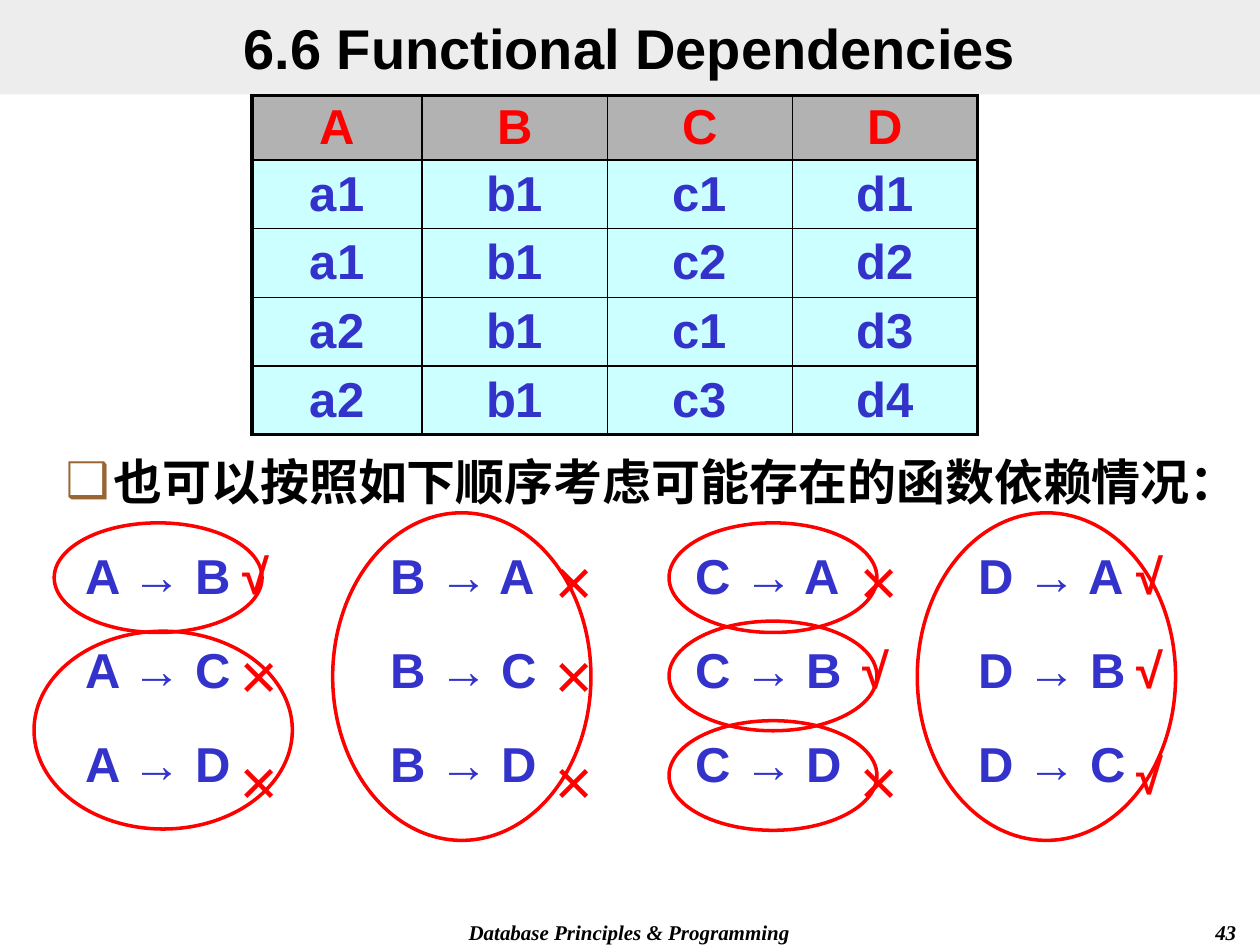
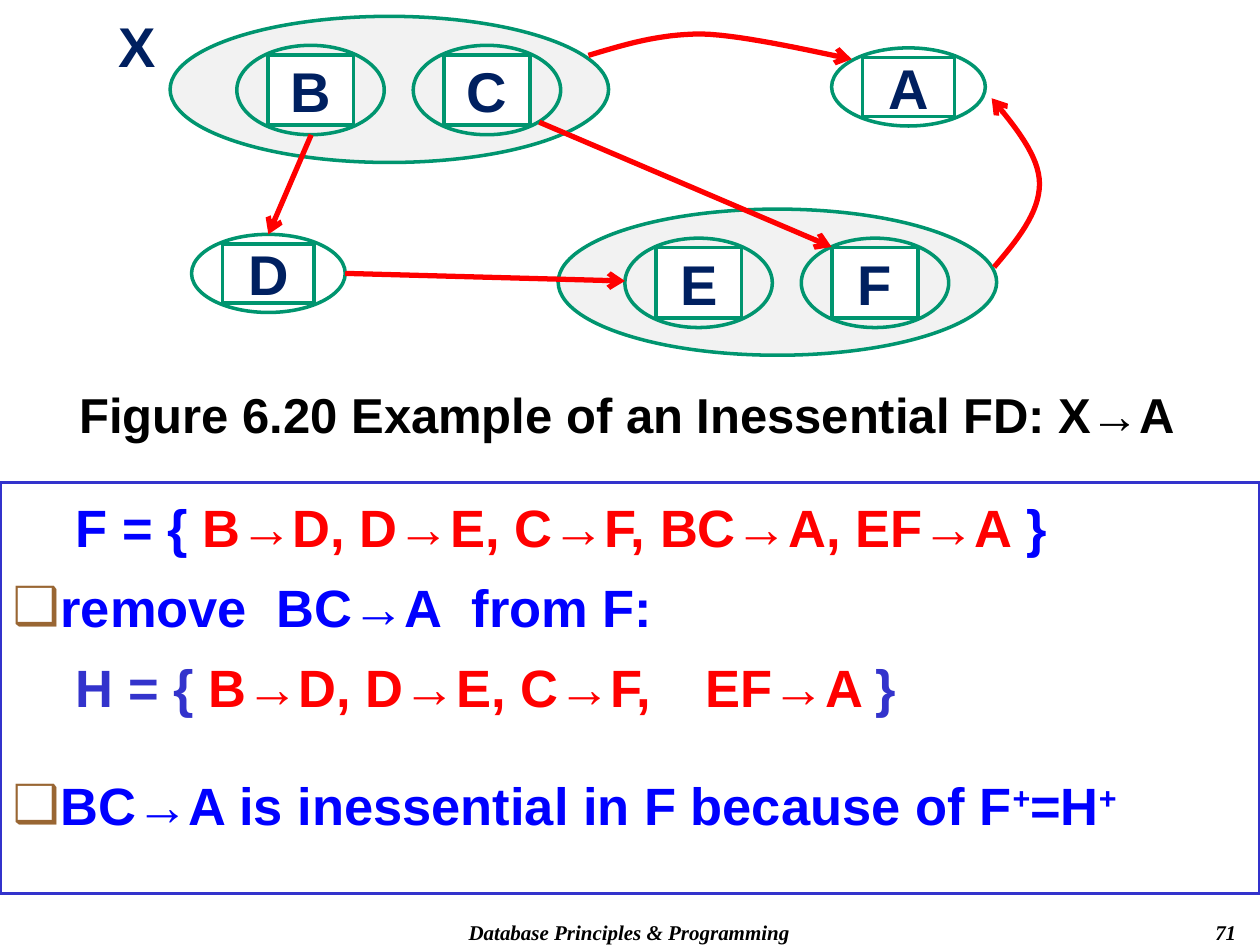
from dataclasses import dataclass

from lxml.etree import SubElement
from pptx import Presentation
from pptx.dml.color import RGBColor
from pptx.enum.shapes import MSO_CONNECTOR, MSO_SHAPE
from pptx.enum.text import MSO_ANCHOR, MSO_AUTO_SIZE, PP_ALIGN
from pptx.oxml.ns import qn
from pptx.util import Inches, Pt


@dataclass(frozen=True)
class Theme:
    sans: str = "Arial"
    serif: str = "Times New Roman"
    black: str = "000000"
    white: str = "FFFFFF"
    red: str = "FF0000"
    blue: str = "0000FF"
    indigo: str = "3333CC"
    navy: str = "002060"
    green: str = "00956F"
    bullet: str = "996633"
    band: str = "DDDDDD"
    header: str = "B2B2B2"
    cell: str = "CCFFFF"
    group: str = "F2F2F2"
    title_size: int = 32
    formula_size: int = 30
    text_size: int = 28
    cross_size: int = 24
    footer_size: int = 12
    thin: float = 1
    outline: float = 2
    frame: float = 2.25
    arrow: float = 3


THEME = Theme()
GRID_COLUMNS, GRID_ROWS = 100, 75


class Deck:
    def __init__(self, theme):
        self.theme = theme
        self.presentation = Presentation()
        self.presentation.slide_width = Inches(10)
        self.presentation.slide_height = Inches(7.5)
        self.page = None

    def x(self, columns):
        return round(self.presentation.slide_width * columns / GRID_COLUMNS)

    def y(self, rows):
        return round(self.presentation.slide_height * rows / GRID_ROWS)

    def area(self, left, top, width, height):
        return self.x(left), self.y(top), self.x(width), self.y(height)

    def add_page(self, number):
        layout = self.presentation.slide_layouts[1]
        self.page = self.presentation.slides.add_slide(layout)
        style = dict(font=self.theme.serif, size=self.theme.footer_size, italic=True)
        self.label((28.3, 72.5, 43.3, 2.5), "Database Principles & Programming",
                   align=PP_ALIGN.CENTER, **style)
        self.label((78.3, 72.5, 20.8, 2.5), number, align=PP_ALIGN.RIGHT, **style)

    def color(self, target, value):
        target.solid()
        target.fore_color.rgb = RGBColor.from_string(value)

    def paint(self, shape, fill=None, line=None):
        if fill:
            self.color(shape.fill, fill)
        else:
            shape.fill.background()
        if line:
            self.color(shape.line.fill, line)
            shape.line.width = Pt(self.theme.outline)
        else:
            shape.line.fill.background()

    def span(self, para, text, color=None, size=None, font=None, italic=False, **marks):
        run = para.add_run()
        run.text = text
        values = {"name": font or self.theme.sans, "bold": True, "italic": italic,
                  "size": Pt(size or self.theme.text_size)}
        for name, value in values.items():
            setattr(run.font, name, value)
        run.font.color.rgb = RGBColor.from_string(color or self.theme.black)
        for name, value in marks.items():
            run._r.get_or_add_rPr().set(name, str(value))

    def frame(self, shape, anchor=MSO_ANCHOR.TOP, inset=(0.1, 0.05)):
        frame = shape.text_frame
        side, end = map(Inches, inset)
        values = {"word_wrap": True, "auto_size": MSO_AUTO_SIZE.NONE,
                  "vertical_anchor": anchor, "margin_left": side, "margin_right": side,
                  "margin_top": end, "margin_bottom": end}
        for name, value in values.items():
            setattr(frame, name, value)
        return frame

    def add_lines(self, frame, lines, align=PP_ALIGN.LEFT, gap=0, **style):
        for index, line in enumerate(lines):
            para = frame.add_paragraph() if index else frame.paragraphs[0]
            para.alignment = align
            para.space_before = Pt(gap if index else 0)
            self.span(para, line, **style)

    def label(self, area, text, align=PP_ALIGN.LEFT, anchor=MSO_ANCHOR.TOP,
              inset=(0.1, 0.05), **style):
        box = self.page.shapes.add_textbox(*self.area(*area))
        self.add_lines(self.frame(box, anchor, inset), [text], align, **style)

    def shape(self, kind, area, **look):
        shape = self.page.shapes.add_shape(kind, *self.area(*area))
        shape.shadow.inherit = False
        self.paint(shape, **look)
        return shape

    def ellipse(self, area, **look):
        return self.shape(MSO_SHAPE.OVAL, area, **look)

    def place(self, placeholder, area):
        values = zip(("left", "top", "width", "height"), self.area(*area))
        for name, value in values:
            setattr(placeholder, name, value)

    def title(self, text):
        title = self.page.shapes.title
        self.place(title, (0, 0, 100, 7.5))
        self.paint(title, fill=self.theme.band)
        shade = title._element.spPr.find(qn("a:solidFill"))[0]
        SubElement(shade, qn("a:alpha"), val="50000")
        self.add_lines(self.frame(title, MSO_ANCHOR.MIDDLE, (0.1, 0)), [text],
                       PP_ALIGN.CENTER, size=self.theme.title_size)

    def body(self, area, items, size, spacing=1.0, line=None):
        body = self.page.placeholders[1]
        self.place(body, area)
        self.paint(body, line=line)
        frame = self.frame(body)
        for index, (bulleted, gap, tab, spans) in enumerate(items):
            para = frame.add_paragraph() if index else frame.paragraphs[0]
            para.line_spacing = spacing
            para.space_before = Pt(gap)
            self.bullet(para, bulleted, tab)
            for text, color, marks in spans:
                self.span(para, text, color, size, **marks)

    def bullet(self, para, bulleted, tab):
        properties = para._p.get_or_add_pPr()
        left, indent = (0.38, -0.38) if bulleted else (0, 0.5)
        properties.set("marL", str(Inches(left)))
        properties.set("indent", str(Inches(indent)))
        if bulleted:
            tint = SubElement(properties, qn("a:buClr"))
            SubElement(tint, qn("a:srgbClr"), val=self.theme.bullet)
            SubElement(properties, qn("a:buChar"), char="❑")
        else:
            SubElement(properties, qn("a:buNone"))
        if tab:
            stops = SubElement(properties, qn("a:tabLst"))
            SubElement(stops, qn("a:tab"), pos=str(Inches(tab)), algn="l")

    def table(self, area, rows, widths, heights):
        table = self.page.shapes.add_table(len(rows), len(widths), *self.area(*area)).table
        table.first_row = table.horz_banding = False
        for column, width in zip(table.columns, widths):
            column.width = self.x(width)
        for row, height in zip(table.rows, heights):
            row.height = self.y(height)
        last_row, last_column = len(rows) - 1, len(widths) - 1
        for r, row in enumerate(rows):
            for c, text in enumerate(row):
                cell = table.cell(r, c)
                cell.margin_top = cell.margin_bottom = 0
                cell.vertical_anchor = MSO_ANCHOR.MIDDLE
                self.add_lines(cell.text_frame, [text], PP_ALIGN.CENTER,
                               color=self.theme.indigo if r else self.theme.red)
                outer = {"L": c == 0, "R": c == last_column, "T": r == 0, "B": r == last_row}
                for side, heavy in outer.items():
                    self.border(cell, side, self.theme.frame if heavy else self.theme.thin)
                self.color(cell.fill, self.theme.cell if r else self.theme.header)

    def border(self, cell, side, width):
        line = SubElement(cell._tc.get_or_add_tcPr(), qn(f"a:ln{side}"), w=str(Pt(width)))
        fill = SubElement(line, qn("a:solidFill"))
        SubElement(fill, qn("a:srgbClr"), val=self.theme.black)

    def point_at_end(self, shape):
        self.color(shape.line.fill, self.theme.red)
        shape.line.width = Pt(self.theme.arrow)
        SubElement(shape._element.spPr.find(qn("a:ln")), qn("a:tailEnd"), type="arrow")

    def arrow(self, start, end):
        line = self.page.shapes.add_connector(
            MSO_CONNECTOR.STRAIGHT, self.x(start[0]), self.y(start[1]),
            self.x(end[0]), self.y(end[1]))
        self.point_at_end(line)
        SubElement(line._element.spPr, qn("a:effectLst"))

    def curved_arrow(self, start, *segments, steps=16):
        points = [start]
        for first, second, end in segments:
            origin = points[-1]
            for step in range(1, steps + 1):
                t = step / steps
                weights = (1 - t) ** 3, 3 * t * (1 - t) ** 2, 3 * t * t * (1 - t), t ** 3
                points.append(tuple(
                    sum(weight * value for weight, value in zip(weights, values))
                    for values in zip(origin, first, second, end)))
        points = [(self.x(column), self.y(row)) for column, row in points]
        builder = self.page.shapes.build_freeform(*points[0])
        builder.add_line_segments(points[1:], close=False)
        curve = builder.convert_to_shape()
        curve.shadow.inherit = False
        curve.fill.background()
        self.point_at_end(curve)

    def node(self, letter, left, top, width, height):
        look = dict(line=self.theme.green)
        self.ellipse((left, top, width, height), **look)
        side, end = 2.45, 0.75
        area = left + side, top + end, width - 2 * side, height - 2 * end
        box = self.shape(MSO_SHAPE.RECTANGLE, area, fill=self.theme.white, **look)
        self.add_lines(self.frame(box, MSO_ANCHOR.MIDDLE, (0, 0)), [letter],
                       PP_ALIGN.CENTER, color=self.theme.navy, size=self.theme.title_size)

    def node_pair(self, letters, left, top):
        self.ellipse((left, top, 34.8, 11.6), fill=self.theme.group, line=self.theme.green)
        for index, letter in enumerate(letters):
            self.node(letter, left + 5.3 + 14 * index, top + 2.3, 11.7, 7.1)


def dependencies_page(deck):
    theme = deck.theme
    deck.add_page("43")
    deck.title("6.6 Functional Dependencies")
    sentence = "也可以按照如下顺序考虑可能存在的函数依赖情况："
    deck.body((4.2, 35.3, 95.8, 6.7), [(True, 0, None, [(sentence, theme.black, {})])],
              theme.text_size)
    rows = ["A B C D", "a1 b1 c1 d1", "a1 b1 c2 d2", "a2 b1 c1 d3", "a2 b1 c3 d4"]
    deck.table((20, 7.6, 57.5, 26.9), [row.split() for row in rows],
               [13.5] + [14.7] * 3, [5.1] + [5.45] * 4)

    columns = [("A", "BCD", "√☓☓", 5.8, 20.8, 21.7, 18.3),
               ("B", "ACD", "☓☓☓", 30, 20, 24.2, 43.3),
               ("C", "ABD", "☓√☓", 54.2, 19.2, 24.2, 67.5),
               ("D", "ABC", "√√√", 76.7, 20, 24.2, 89.2)]
    for source, targets, marks, left, width, height, mark_left in columns:
        box = deck.shape(MSO_SHAPE.RECTANGLE, (left, 42.8, width, height), fill=theme.white)
        deck.add_lines(deck.frame(box), [f"{source} → {target}" for target in targets],
                       gap=20, color=theme.indigo)
        for mark, top in zip(marks, (42.8, 50.3, 58.7)):
            if mark == "√":
                deck.label((mark_left, top, 6.7, 6.7), mark, color=theme.red)
            else:
                deck.label((mark_left, top + 0.85, 6.7, 5.8), mark, color=theme.red,
                           font=theme.serif, size=theme.cross_size)

    small, wide, tall = (16.5, 8.7), (20.5, 15.7), (20.5, 26)
    rings = [(26.4, 40.7, tall), (4.3, 41.5, small), (53.1, 49.3, small), (2.7, 50.1, wide),
             (53.1, 41.5, small), (53.1, 57.2, small), (72.8, 40.7, tall)]
    for left, top, size in rings:
        deck.ellipse((left, top, *size), line=theme.red)


def inessential_page(deck):
    theme = deck.theme
    deck.add_page("71")
    title = deck.page.shapes.title._element
    title.getparent().remove(title)
    blue, red, indigo = theme.blue, theme.red, theme.indigo
    wide, raised = {"spc": 830}, {"baseline": 30000}
    items = [
        (False, 0, None, [("F = { ", blue, {}),
                          ("B→D, D→E, C→F, BC→A, EF→A ", red, {}), ("}", blue, {})]),
        (True, 6, None, [("remove", blue, {}), (" ", blue, wide), ("BC→A", blue, {}),
                         (" ", blue, wide), ("from F:", blue, {})]),
        (False, 6, 6.69, [("H = { ", indigo, {}),
                          ("B→D, D→E, C→F,\tEF→A ", red, {}), ("}", indigo, {})]),
        (True, 28, None, [("BC→A is inessential in F because of F", blue, {}),
                          ("+", blue, raised), ("=H", blue, {}), ("+", blue, raised)]),
    ]
    deck.body((0, 38.3, 100, 32.6), items, theme.formula_size, 1.1, indigo)

    deck.node_pair("BC", 13.5, 1.3)
    deck.node_pair("EF", 44.3, 16.6)
    deck.node("D", 15.2, 18.6, 12.2, 6.2)
    deck.node("A", 66, 3.8, 12.2, 6.2)
    deck.label((8.3, 1.9, 5.2, 3.3), "X", PP_ALIGN.CENTER, MSO_ANCHOR.MIDDLE, (0, 0),
               color=theme.navy, size=theme.title_size)
    deck.curved_arrow((46.7, 4.4), ((49.4, 3.6), (52.2, 2.7), (55.7, 2.7)),
                      ((59.2, 2.8), (65.5, 4.3), (67.6, 4.7)))
    for start, end in [((24.7, 10.7), (21.3, 18.6)), ((42.8, 9.7), (66, 19.6)),
                       ((27.4, 21.7), (49.6, 22.3))]:
        deck.arrow(start, end)
    deck.curved_arrow((78.9, 21.2), ((80.7, 19.1), (82.5, 16.9), (82.5, 14.6)),
                      ((82.5, 12.4), (80.6, 10.1), (78.7, 7.8)))
    deck.label((0.8, 30, 98, 4.4), "Figure 6.20 Example of an Inessential FD: X→A",
               PP_ALIGN.CENTER)


def main():
    deck = Deck(THEME)
    dependencies_page(deck)
    inessential_page(deck)
    deck.presentation.save("out.pptx")


if __name__ == "__main__":
    main()
